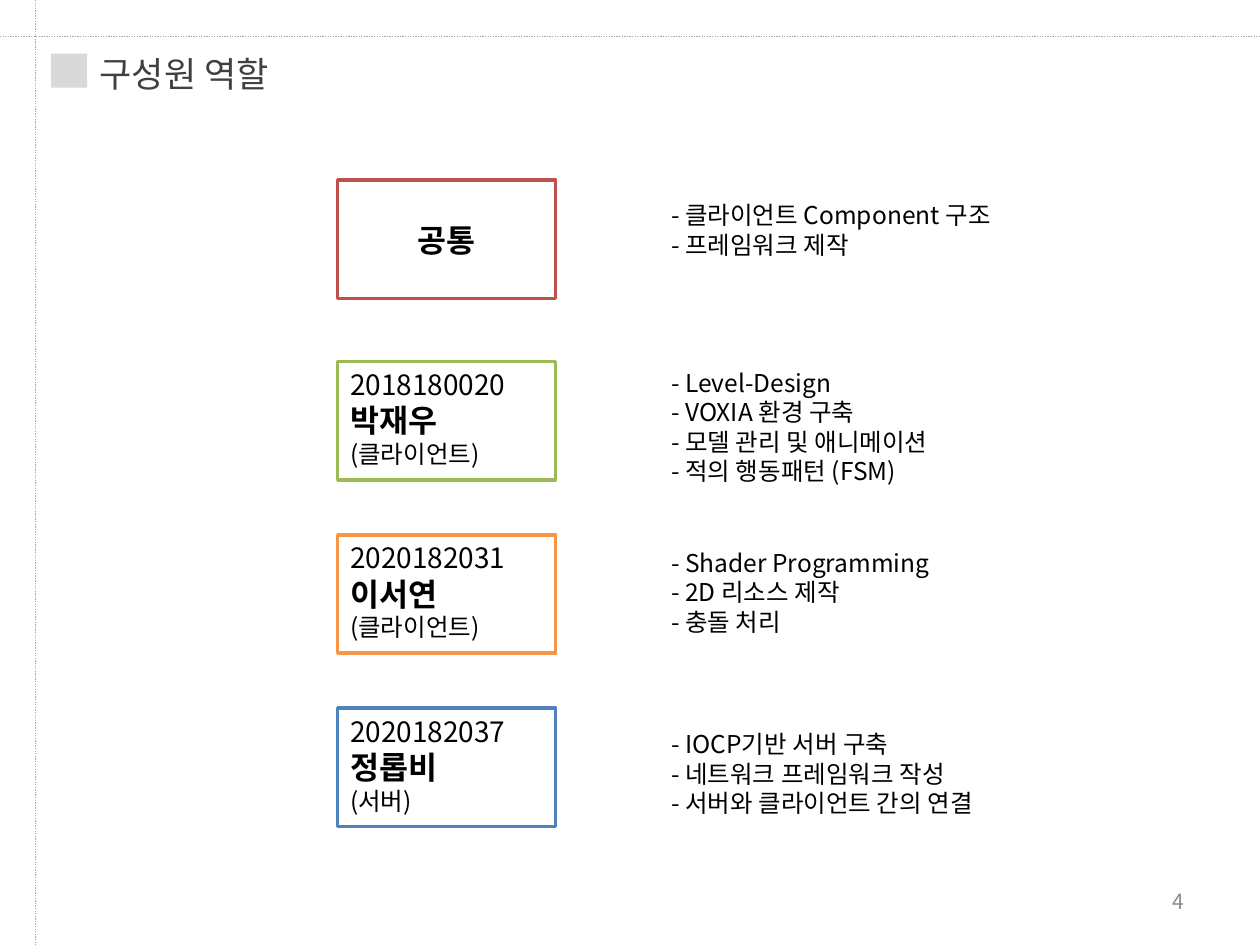
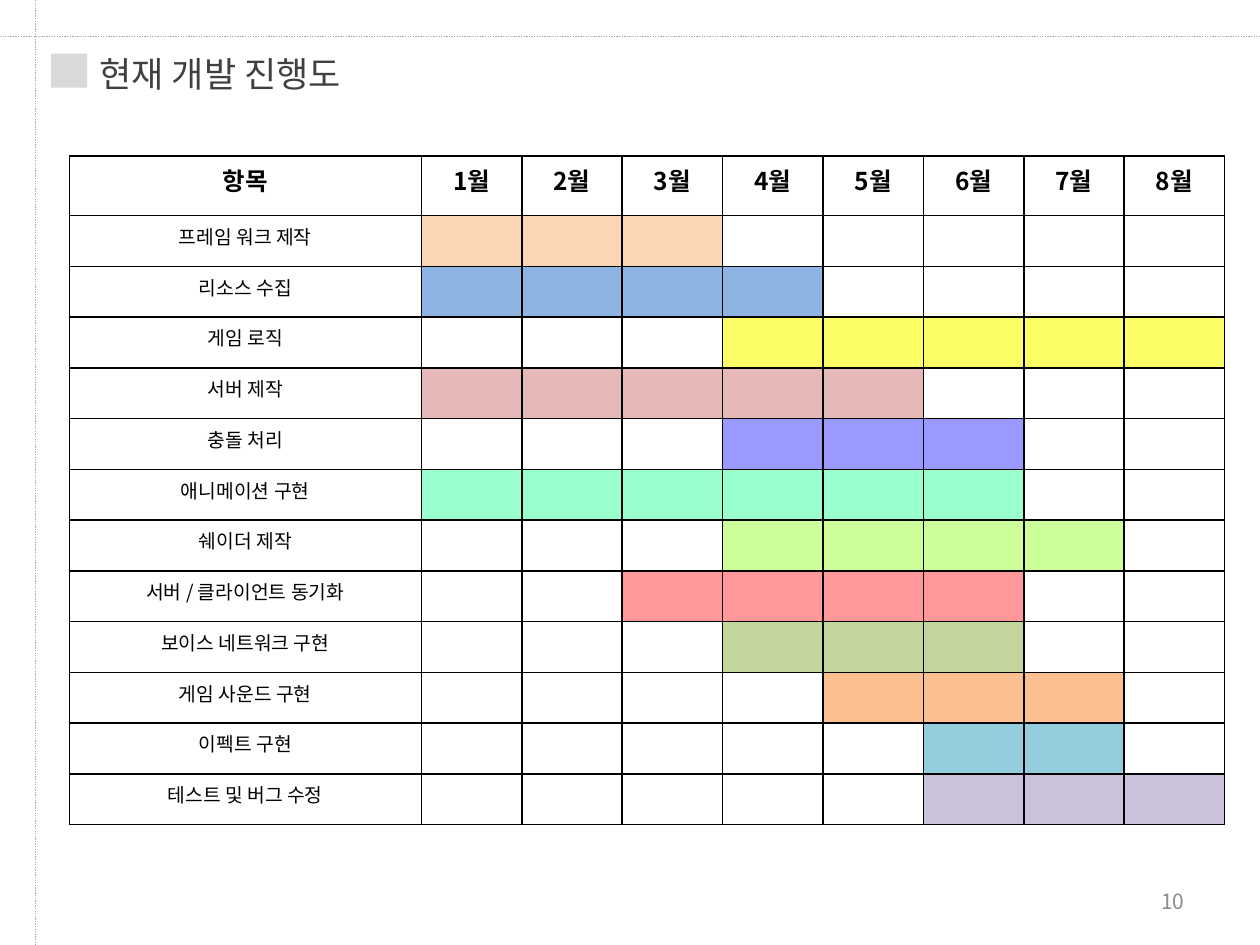
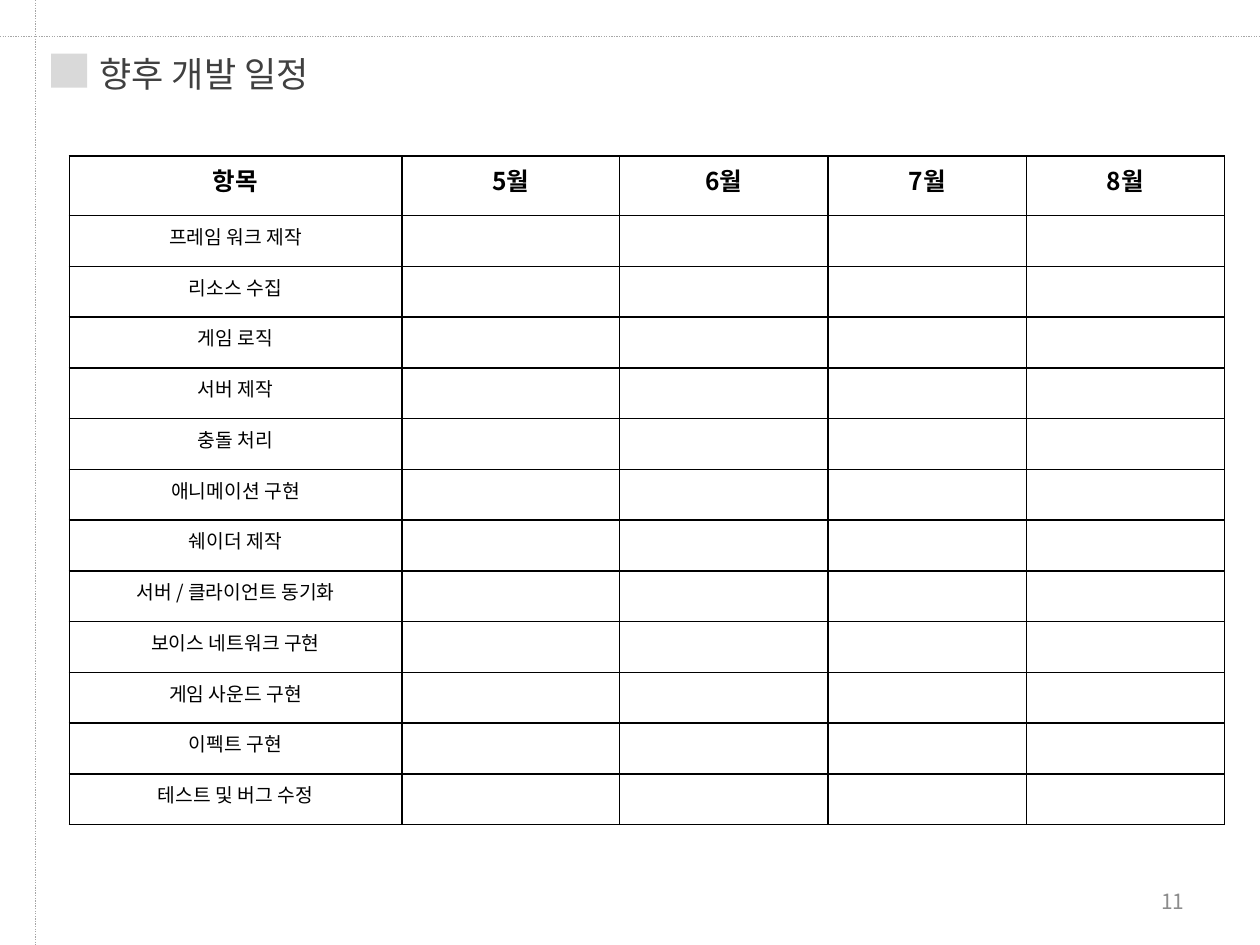
import lxml.etree
import pptx
import pptx.dml.color
import pptx.enum.dml
import pptx.enum.shapes
import pptx.enum.text
import pptx.oxml.ns
import pptx.util

Pt = pptx.util.Pt
ALIGN = pptx.enum.text.PP_ALIGN
ANCHOR = pptx.enum.text.MSO_ANCHOR
FONT = "Noto Sans CJK KR"
BLACK, WHITE = "000000", "FFFFFF"

TASKS = [
    ("프레임 워크 제작", 1, 3, "FCD5B5"),
    ("리소스 수집", 1, 4, "8EB4E3"),
    ("게임 로직", 4, 8, "FBFF65"),
    ("서버 제작", 1, 5, "E6B9B8"),
    ("충돌 처리", 4, 6, "9999FF"),
    ("애니메이션 구현", 1, 6, "99FFCC"),
    ("쉐이더 제작", 4, 7, "CCFF99"),
    ("서버 / 클라이언트 동기화", 3, 6, "FF9999"),
    ("보이스 네트워크 구현", 4, 6, "C3D69B"),
    ("게임 사운드 구현", 5, 7, "FAC090"),
    ("이펙트 구현", 6, 7, "93CDDD"),
    ("테스트 및 버그 수정", 6, 8, "CCC1DA"),
]

MEMBERS = [
    ("2018180020", "박재우", "(클라이언트)", "9BBB59", 206.6,
     ["- Level-Design", "- VOXIA 환경 구축", "- 모델 관리 및 애니메이션", "- 적의 행동패턴 (FSM)"]),
    ("2020182031", "이서연", "(클라이언트)", "F79646", 309.6,
     ["- Shader Programming", "- 2D 리소스 제작", "- 충돌 처리"]),
    ("2020182037", "정롭비", "(서버)", "4F81BD", 413.2,
     ["- IOCP기반 서버 구축", "- 네트워크 프레임워크 작성", "- 서버와 클라이언트 간의 연결"]),
]


def rgb(value):
    return pptx.dml.color.RGBColor.from_string(value)


def write(paragraph, text, size=14, color=BLACK, bold=False, align=ALIGN.LEFT):
    paragraph.alignment = align
    run = paragraph.add_run()
    run.text = text
    run.font.size = Pt(size)
    run.font.bold = bold
    run.font.name = FONT
    run.font.color.rgb = rgb(color)
    east_asian = lxml.etree.SubElement(run.font._element, pptx.oxml.ns.qn("a:ea"))
    east_asian.set("typeface", FONT)


def write_lines(frame, lines, anchor=ANCHOR.TOP):
    frame.word_wrap = True
    frame.vertical_anchor = anchor
    for index, (text, style) in enumerate(lines):
        paragraph = frame.add_paragraph() if index else frame.paragraphs[0]
        write(paragraph, text, **style)


def draw_borders(cell):
    properties = cell._tc.get_or_add_tcPr()
    for position, side in enumerate(("lnL", "lnR", "lnT", "lnB")):
        border = lxml.etree.Element(pptx.oxml.ns.qn("a:" + side), w=str(Pt(1)))
        fill = lxml.etree.SubElement(border, pptx.oxml.ns.qn("a:solidFill"))
        lxml.etree.SubElement(fill, pptx.oxml.ns.qn("a:srgbClr"), val=BLACK)
        properties.insert(position, border)


class Deck:
    def __init__(self):
        self.presentation = pptx.Presentation()
        self.presentation.slide_width = Pt(720)
        self.presentation.slide_height = Pt(540)
        self.slide = None

    def start(self, heading, number):
        layout = self.presentation.slide_layouts[5]
        self.slide = self.presentation.slides.add_slide(layout)
        title = self.slide.shapes.title
        title.left, title.top, title.width, title.height = Pt(49.7), Pt(26.6), Pt(259), Pt(31.7)
        write_lines(title.text_frame, [(heading, {"size": 20, "color": "404040"})])
        self.box(29.2, 30.7, 20.7, 19.4, fill="D9D9D9")
        self.guide(20.2, 0, 20.2, 540)
        self.guide(0, 20.9, 720, 20.9)
        self.text(516, 500.5, 168, 28.8,
                  [(str(number), {"size": 12, "color": "8C8C8C", "align": ALIGN.RIGHT})],
                  ANCHOR.MIDDLE)

    def box(self, left, top, width, height, fill=WHITE, line=None, lines=(), anchor=ANCHOR.TOP):
        shape = self.slide.shapes.add_shape(pptx.enum.shapes.MSO_SHAPE.RECTANGLE,
                                            Pt(left), Pt(top), Pt(width), Pt(height))
        shape.shadow.inherit = False
        shape.fill.solid()
        shape.fill.fore_color.rgb = rgb(fill)
        if line:
            shape.line.color.rgb = rgb(line)
            shape.line.width = Pt(2)
        else:
            shape.line.fill.background()
        write_lines(shape.text_frame, lines, anchor)

    def text(self, left, top, width, height, lines, anchor=ANCHOR.TOP):
        area = self.slide.shapes.add_textbox(Pt(left), Pt(top), Pt(width), Pt(height))
        write_lines(area.text_frame, lines, anchor)

    def guide(self, x1, y1, x2, y2):
        line = self.slide.shapes.add_connector(pptx.enum.shapes.MSO_CONNECTOR.STRAIGHT,
                                               Pt(x1), Pt(y1), Pt(x2), Pt(y2))
        line.line.color.rgb = rgb("A6A6A6")
        line.line.width = Pt(0.75)
        line.line.dash_style = pptx.enum.dml.MSO_LINE.ROUND_DOT
        lxml.etree.SubElement(line._element.spPr, pptx.oxml.ns.qn("a:effectLst"))

    def role(self, box_top, color, identity, anchor, duties_top, duties):
        self.box(193, box_top, 124.6, 67.7, line=color, lines=identity, anchor=anchor)
        self.text(376.5, duties_top, 340, 7.2 + 16.9 * len(duties),
                  [(duty, {}) for duty in duties])

    def schedule(self, months, widths, show_progress):
        heights = [34] + [29] * len(TASKS)
        table = self.slide.shapes.add_table(len(heights), len(widths), Pt(39.6), Pt(89.2),
                                            Pt(sum(widths)), Pt(sum(heights))).table
        table.first_row = table.horz_banding = False
        for column, width in zip(table.columns, widths):
            column.width = Pt(width)
        for row, height in zip(table.rows, heights):
            row.height = Pt(height)
        for column, label in enumerate(["항목"] + [f"{month}월" for month in months]):
            self.cell(table.cell(0, column), label, bold=True)
        for row, (task, first, last, color) in enumerate(TASKS, 1):
            self.cell(table.cell(row, 0), task, size=11)
            for column, month in enumerate(months, 1):
                active = show_progress and first <= month <= last
                self.cell(table.cell(row, column), fill=color if active else WHITE)

    def cell(self, cell, text="", fill=WHITE, **style):
        cell.fill.solid()
        cell.fill.fore_color.rgb = rgb(fill)
        draw_borders(cell)
        if text:
            write(cell.text_frame.paragraphs[0], text, align=ALIGN.CENTER, **style)
        else:
            cell.margin_top = cell.margin_bottom = 0


def main():
    deck = Deck()

    deck.start("구성원 역할", 4)
    deck.role(103, "C0504D", [("공통", {"size": 18, "bold": True, "align": ALIGN.CENTER})],
              ANCHOR.MIDDLE, 110.9, ["- 클라이언트 Component 구조", "- 프레임워크 제작"])
    for index, (student_id, name, part, color, duties_top, duties) in enumerate(MEMBERS):
        identity = [(student_id, {"size": 16}), (name, {"size": 18, "bold": True}), (part, {})]
        deck.role(206.6 + 99 * index, color, identity, ANCHOR.TOP, duties_top, duties)

    deck.start("현재 개발 진행도", 10)
    deck.schedule(range(1, 9), [201.2] + [57.4] * 8, True)

    deck.start("향후 개발 일정", 11)
    deck.schedule(range(5, 9), [190, 124.5, 119, 113.4, 113.4], False)

    deck.presentation.save("out.pptx")


if __name__ == "__main__":
    main()
